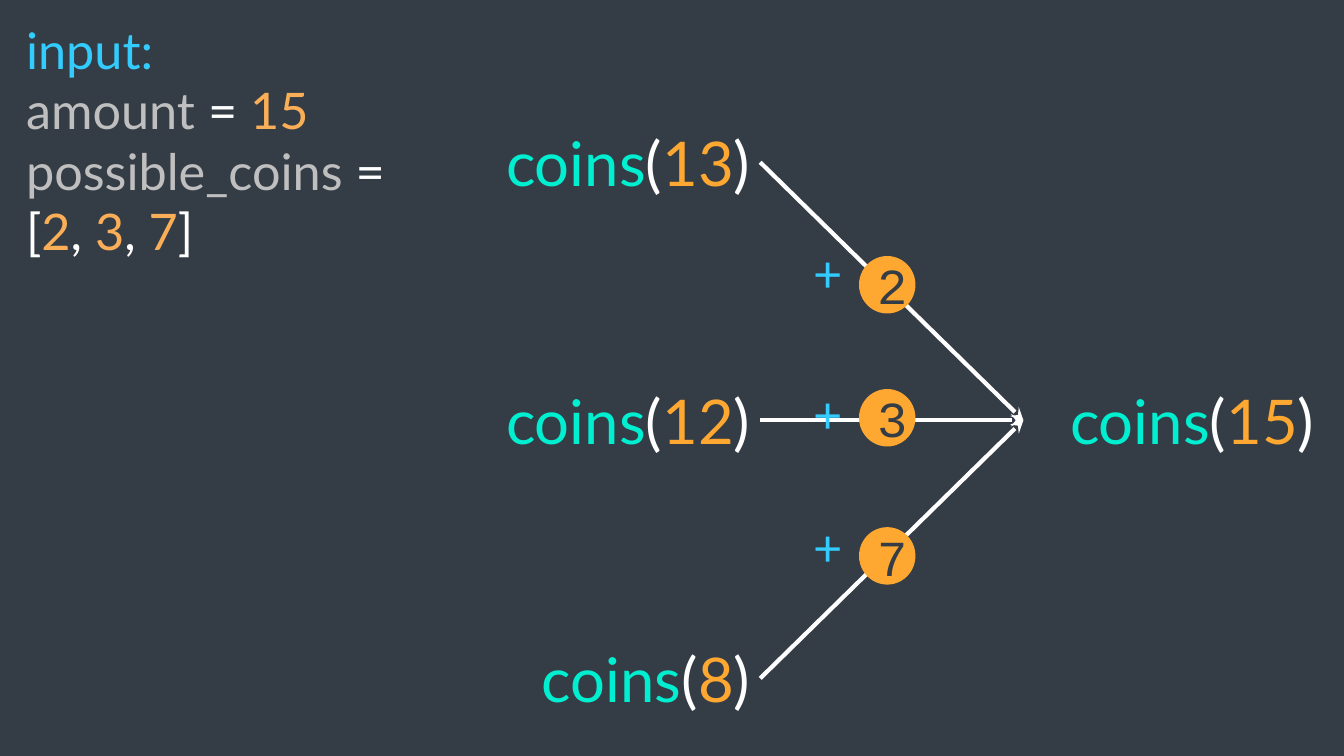
from lxml import etree
from pptx import Presentation
from pptx.dml.color import RGBColor
from pptx.enum.shapes import MSO_CONNECTOR, MSO_SHAPE
from pptx.enum.text import MSO_ANCHOR, MSO_AUTO_SIZE, PP_ALIGN
from pptx.oxml.ns import qn
from pptx.util import Pt

LEFT, CENTER, RIGHT = PP_ALIGN.LEFT, PP_ALIGN.CENTER, PP_ALIGN.RIGHT
MIDDLE = MSO_ANCHOR.MIDDLE
GROW = MSO_AUTO_SIZE.SHAPE_TO_FIT_TEXT
ELLIPSE, STRAIGHT = MSO_SHAPE.OVAL, MSO_CONNECTOR.STRAIGHT
LEFT_SIDE, RIGHT_SIDE = 1, 3

PX = 9144  # 100 px to the inch
SLATE, WHITE, GREY = "343D46", "FFFFFF", "BFBFBF"
TEAL, SKY, ORANGE, APRICOT = "00EFD1", "33CCFF", "FEA832", "F9AE57"

# Remaining amount, coin, top of the coin, top of its plus sign
BRANCHES = [("13", "2", 254, 235), ("12", "3", 386, 375), ("8", "7", 523, 507)]
FIRST_CALL_TOP, CALL_STEP = 119, 256

INPUT_LINES = [
    [("input:", SKY)],
    [("amount", GREY), (" = ", WHITE), ("15", APRICOT)],
    [("possible_coins", GREY), (" = [", WHITE), ("2", APRICOT), (", ", WHITE),
     ("3", APRICOT), (", ", WHITE), ("7", APRICOT), ("]", WHITE)],
]


def color(value):
    return RGBColor.from_string(value)


def px(*lengths):
    return [length * PX for length in lengths]


def write(frame, lines, size=36, font="Lato", align=LEFT):
    """Fill a text frame with lines of (text, colour) spans."""
    frame.word_wrap = True
    for index, line in enumerate(lines):
        para = frame.add_paragraph() if index else frame.paragraphs[0]
        para.alignment = align
        for text, ink in line:
            span = para.add_run()
            span.text = text
            span.font.size = Pt(size)
            span.font.name = font
            span.font.color.rgb = color(ink)


def add_text(page, place, lines, **style):
    box = page.shapes.add_textbox(*px(*place))
    write(box.text_frame, lines, **style)
    box.text_frame.auto_size = GROW
    return box


def add_call(page, left, top, amount, align):
    line = [("coins", TEAL), ("(", WHITE), (amount, ORANGE), (")", WHITE)]
    return add_text(page, (left, top, 335, 84), [line], size=44, align=align)


def add_arrow(page, source, target):
    arrow = page.shapes.add_connector(STRAIGHT, 0, 0, 0, 0)
    arrow.begin_connect(source, RIGHT_SIDE)
    arrow.end_connect(target, LEFT_SIDE)
    arrow.line.color.rgb = color(WHITE)
    arrow.line.width = Pt(3)
    etree.SubElement(arrow.line._get_or_add_ln(), qn("a:tailEnd"), type="stealth")
    etree.SubElement(arrow._element.spPr, qn("a:effectLst"))


def add_coin(page, top, value):
    coin = page.shapes.add_shape(ELLIPSE, *px(852, top, 56, 57))
    coin.shadow.inherit = False
    coin.fill.solid()
    coin.fill.fore_color.rgb = color(ORANGE)
    coin.line.fill.background()
    coin.text_frame.vertical_anchor = MIDDLE
    write(coin.text_frame, [[(value, SLATE)]], font="Courier New", align=CENTER)


def main():
    deck = Presentation()
    deck.slide_width, deck.slide_height = px(1333, 750)
    page = deck.slides.add_slide(deck.slide_layouts[6])
    page.background.fill.solid()
    page.background.fill.fore_color.rgb = color(SLATE)

    # Recursive calls and the result they lead to
    result = add_call(page, 1015, FIRST_CALL_TOP + CALL_STEP, "15", CENTER)
    calls = [add_call(page, 419, FIRST_CALL_TOP + row * CALL_STEP, branch[0], RIGHT)
             for row, branch in enumerate(BRANCHES)]
    for call in calls:
        add_arrow(page, call, result)

    # Coins added on each branch
    for _, value, coin_top, plus_top in BRANCHES:
        add_coin(page, coin_top, value)
        add_text(page, (775, plus_top, 92, 71), [[("+", SKY)]], align=CENTER)

    # Input values
    add_text(page, (16, 14, 391, 252), INPUT_LINES)

    deck.save("out.pptx")


if __name__ == "__main__":
    main()
